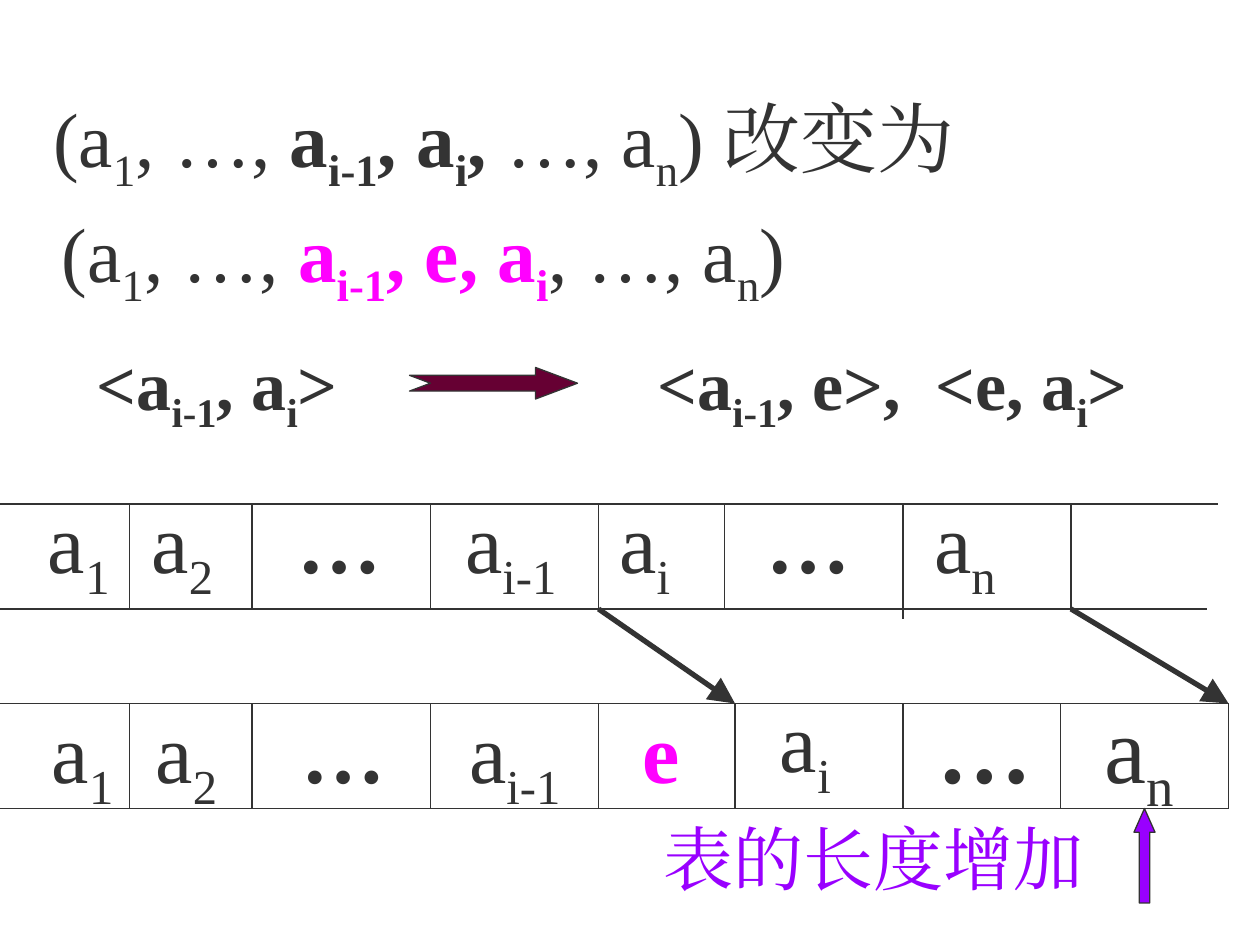
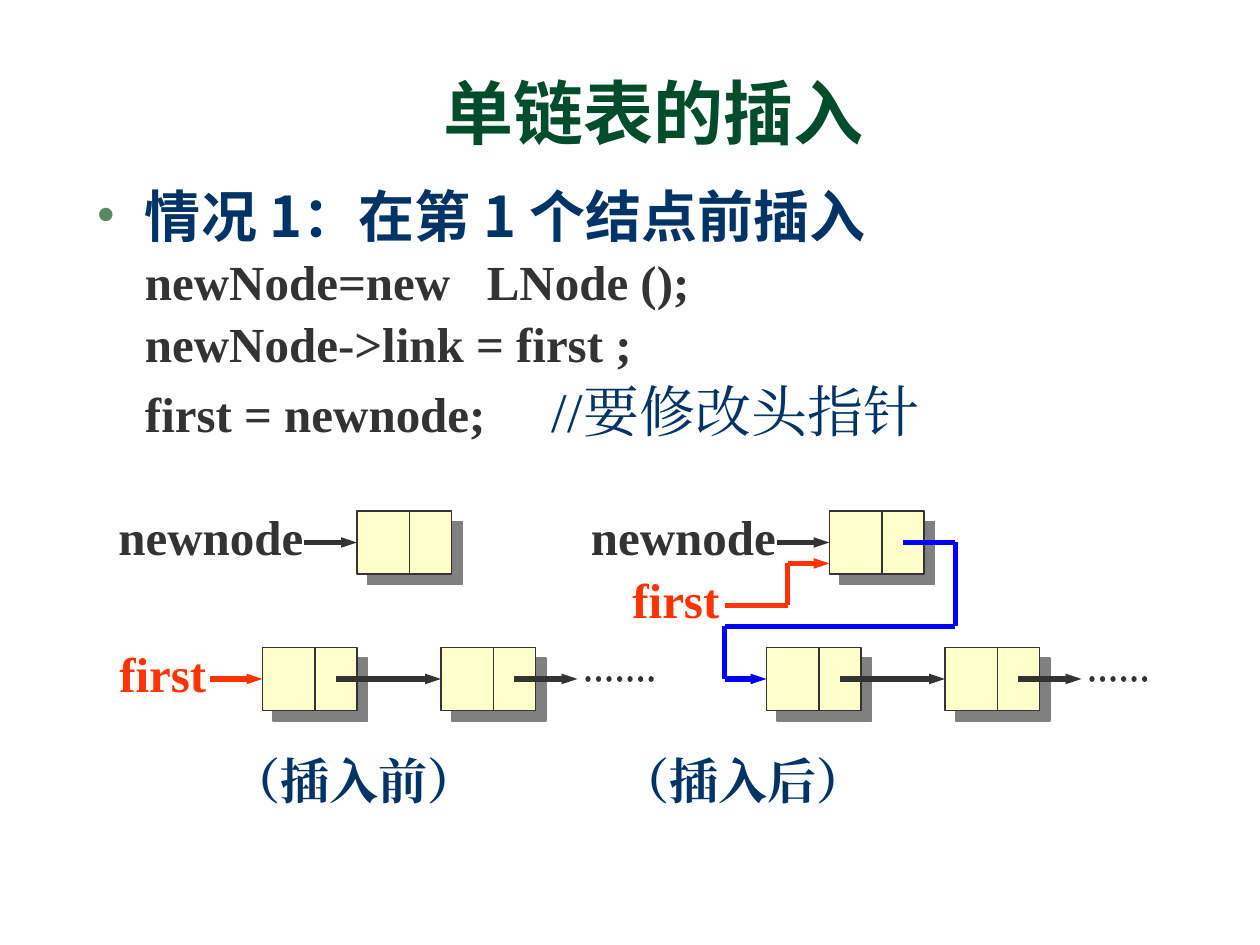
from itertools import pairwise

from lxml import etree
from pptx import Presentation
from pptx.dml.color import RGBColor
from pptx.enum import shapes, text
from pptx.oxml import ns
from pptx.util import Pt

INK = RGBColor(0x33, 0x33, 0x33)
MAGENTA = RGBColor(0xFF, 0x00, 0xFF)
PURPLE = RGBColor(0x99, 0x00, 0xFF)
WINE = RGBColor(0x66, 0x00, 0x33)
GREEN = RGBColor(0x00, 0x4C, 0x2B)
SAGE = RGBColor(0x57, 0x89, 0x63)
NAVY = RGBColor(0x00, 0x33, 0x66)
RED = RGBColor(0xFF, 0x33, 0x00)
BLUE = RGBColor(0x00, 0x00, 0xFF)
CREAM = RGBColor(0xFF, 0xFF, 0xCC)
GREY = RGBColor(0x80, 0x80, 0x80)
SERIF = "Times New Roman"
SANS = "Noto Sans CJK SC"
SLIDE_W, SLIDE_H = 720, 540


def child(parent, tag, **attrs):
    return etree.SubElement(parent, ns.qn(tag), {k: str(v) for k, v in attrs.items()})


class Deck:
    def __init__(self):
        self.prs = Presentation()
        self.prs.slide_width, self.prs.slide_height = Pt(SLIDE_W), Pt(SLIDE_H)
        self.s = None

    def new_slide(self):
        self.s = self.prs.slides.add_slide(self.prs.slide_layouts[6])

    def run(self, p, words, size, color=INK, bold=False, font=SERIF, sub=False, gap=0):
        r = p.add_run()
        r.text = words
        r.font.size, r.font.bold, r.font.name = Pt(size), bold, font
        r.font.color.rgb = color
        rpr = r.font._element
        child(rpr, "a:ea", typeface=font)
        if sub:
            rpr.set("baseline", "-25000")
        if gap:
            rpr.set("spc", str(gap * 100))

    def frame(self, left, top, width=None, height=60):
        sp = self.s.shapes.add_textbox(
            Pt(left), Pt(top), Pt(width or SLIDE_W - left), Pt(height))
        tf = sp.text_frame
        tf.word_wrap = True
        tf.margin_left = tf.margin_right = tf.margin_top = tf.margin_bottom = 0
        return tf

    def formula(self, left, top, size, *parts):
        p = self.frame(left, top).paragraphs[0]
        for words, style in parts:
            for i, piece in enumerate(words.split("|")):
                if piece:
                    self.run(p, piece, size, sub=i % 2 == 1, **style)

    def label(self, left, top, size, words, **style):
        self.formula(left, top, size, (words, style))

    def line(self, start, end, color=INK, width=0.75, head=None, dotted=False):
        c = self.s.shapes.add_connector(
            shapes.MSO_CONNECTOR.STRAIGHT, *(Pt(v) for v in (*start, *end)))
        c.line.color.rgb, c.line.width = color, Pt(width)
        ln = c.line._get_or_add_ln()
        if dotted:
            ln.set("cap", "rnd")
            child(ln, "a:prstDash", val="sysDot")
        if head:
            child(ln, "a:tailEnd", type="triangle", w=head[0], len=head[1])
        child(c._element.spPr, "a:effectLst")

    def arrow(self, *points, color=INK, head=("sm", "med")):
        steps = list(pairwise(points))
        for i, (a, b) in enumerate(steps, 1):
            self.line(a, b, color, 3, head if i == len(steps) else None)

    def shape(self, kind, left, top, width, height, fill, adjust=()):
        sp = self.s.shapes.add_shape(
            kind, Pt(left), Pt(top), Pt(width), Pt(height))
        for i, value in enumerate(adjust):
            sp.adjustments[i] = value
        sp.fill.solid()
        sp.fill.fore_color.rgb = fill
        sp.line.color.rgb, sp.line.width = INK, Pt(0.75)
        sp.shadow.inherit = False
        return sp

    def node(self, left, top):
        sp = self.shape(shapes.MSO_SHAPE.RECTANGLE, left, top, 54, 36, CREAM)
        effects = sp._element.spPr.find(ns.qn("a:effectLst"))
        shadow = child(effects, "a:outerShdw", dist=Pt(8.5), dir=45 * 60000,
                       algn="ctr", rotWithShape=0)
        child(shadow, "a:srgbClr", val=GREY)
        self.line((left + 30, top), (left + 30, top + 36))

    def chain(self, left, top, dots_end):
        mid = top + 18
        for x in (left, left + 102):
            self.node(x, top)
        self.arrow((left + 42, mid), (left + 102, mid))
        self.arrow((left + 144, mid), (left + 180, mid))
        self.line((left + 186, mid), (left + dots_end, mid), width=3, dotted=True)

    def new_node(self, left, top):
        self.node(left, top)
        self.arrow((left - 30, top + 18), (left, top + 18))
        self.label(left - 136.3, top - 2.6, 28, "newnode", bold=True)


def array_insert(d):
    d.new_slide()
    bold, pink = {"bold": True}, {"bold": True, "color": MAGENTA}
    d.formula(30.5, 51.8, 44, ("(a|1|, …, ", {}), ("a|i-1|, a|i|, ", bold),
              ("…, a|n|) 改变为", {}))
    d.formula(35.3, 117.4, 44, ("(a|1|, …, ", {}), ("a|i-1|, e, a|i|", pink),
              (", …, a|n|)", {}))
    for left, words in ((55.4, "<a|i-1|, a|i|>"), (375.8, "<a|i-1|, e>,"),
                        (534.7, "<e, a|i|>")):
        d.label(left, 194.4, 40, words, bold=True)
    d.shape(shapes.MSO_SHAPE.NOTCHED_RIGHT_ARROW, 234, 210, 96, 18, WINE, (0.5, 1.33))

    for y, right in ((288, 696), (348, 690), (402, 702), (462, 702)):
        d.line((0, y), (right, y))
    for x in (74, 144, 246, 342, 414, 516, 612):
        d.line((x, 288), (x, 354 if x == 516 else 348))
    for x in (74, 144, 246, 342, 420, 516, 606, 702):
        d.line((x, 402), (x, 462))

    before = ((27.4, "a|1"), (86.6, "a|2"), (169.8, "…"), (265.8, "a|i-1"),
              (354, "a|i"), (437.8, "…"), (533.8, "a|n"))
    for left, words in before:
        d.label(left, 279.6, 48, words, bold=words == "…")
    for left, words in before[:4]:
        d.label(left + 2.3, 399.6, 48, words, bold=words == "…")
    d.label(367, 399.6, 48, "e", **pink)
    d.label(445.7, 393.6, 48, "a|i")
    d.label(535.7, 393.6, 54, "…", bold=True)
    d.label(631.4, 393.6, 54, "a|n")

    for start, end in ((342, 420), (612, 702)):
        d.arrow((start, 348), (end, 402), head=("lg", "lg"))
    d.label(379.4, 465.8, 40, "表的长度增加", color=PURPLE)
    d.shape(shapes.MSO_SHAPE.UP_ARROW, 648, 462, 12, 54, PURPLE, (0.5, 1.13))


def linked_list_insert(d):
    d.new_slide()
    tf = d.frame(253.4, 31.8, 270, 56)
    tf.vertical_anchor = text.MSO_ANCHOR.BOTTOM
    d.run(tf.paragraphs[0], "单链表的插入", 40, GREEN, True, SANS)

    code = {"size": 28, "bold": True}
    body = (
        (8, [("情况 1：在第 1 个结点前插入",
              {"size": 32, "color": NAVY, "bold": True, "font": SANS})]),
        (1.8, [("newNode=new", code), (" ", {**code, "gap": 14}), ("LNode ();", code)]),
        (1.8, [("newNode->link = first ;", code)]),
        (2, [("first = newnode;", code), (" ", {**code, "gap": 31}),
             ("//要修改头指针", {"size": 32, "color": NAVY})]),
    )
    tf = d.frame(55.4, 103.7, 615, 160)
    for i, (before, parts) in enumerate(body):
        p = tf.add_paragraph() if i else tf.paragraphs[0]
        p.space_before = Pt(before)
        ppr = p._p.get_or_add_pPr()
        ppr.set("marL", str(Pt(27.5)))
        if i == 0:
            ppr.set("indent", str(-Pt(27.5)))
            child(child(ppr, "a:buClr"), "a:srgbClr", val=SAGE)
            child(ppr, "a:buFont", typeface="Times New Roman")
            child(ppr, "a:buChar", char="•")
        for words, style in parts:
            d.run(p, words, **style)

    for left, words in ((132.5, "（插入前）"), (354.8, "（插入后）")):
        d.label(left, 429, 28, words, color=NAVY, bold=True)

    d.chain(150, 370, 228)
    d.chain(438, 370, 222)
    d.new_node(204, 292)
    d.new_node(474, 292)
    for left, top in ((68.2, 367.9), (361.4, 325.4)):
        d.label(left, top, 28, "first", color=RED, bold=True)
    d.arrow((120, 388), (150, 388), color=RED)
    d.arrow((414, 346), (450, 346), (450, 322), (474, 322), color=RED)
    d.arrow((516, 310), (546, 310), (546, 358), (414, 358), (414, 388),
            (438, 388), color=BLUE)


def main():
    d = Deck()
    array_insert(d)
    linked_list_insert(d)
    d.prs.save("out.pptx")


if __name__ == "__main__":
    main()
